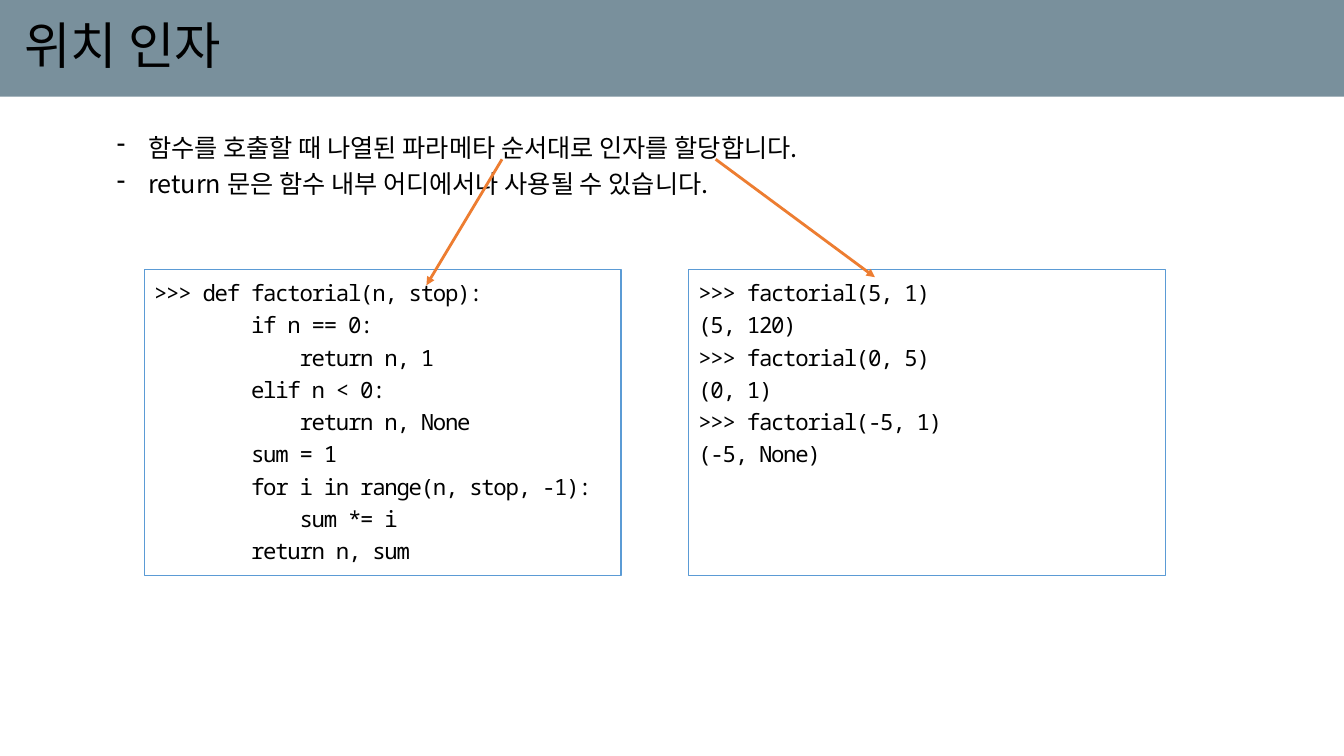
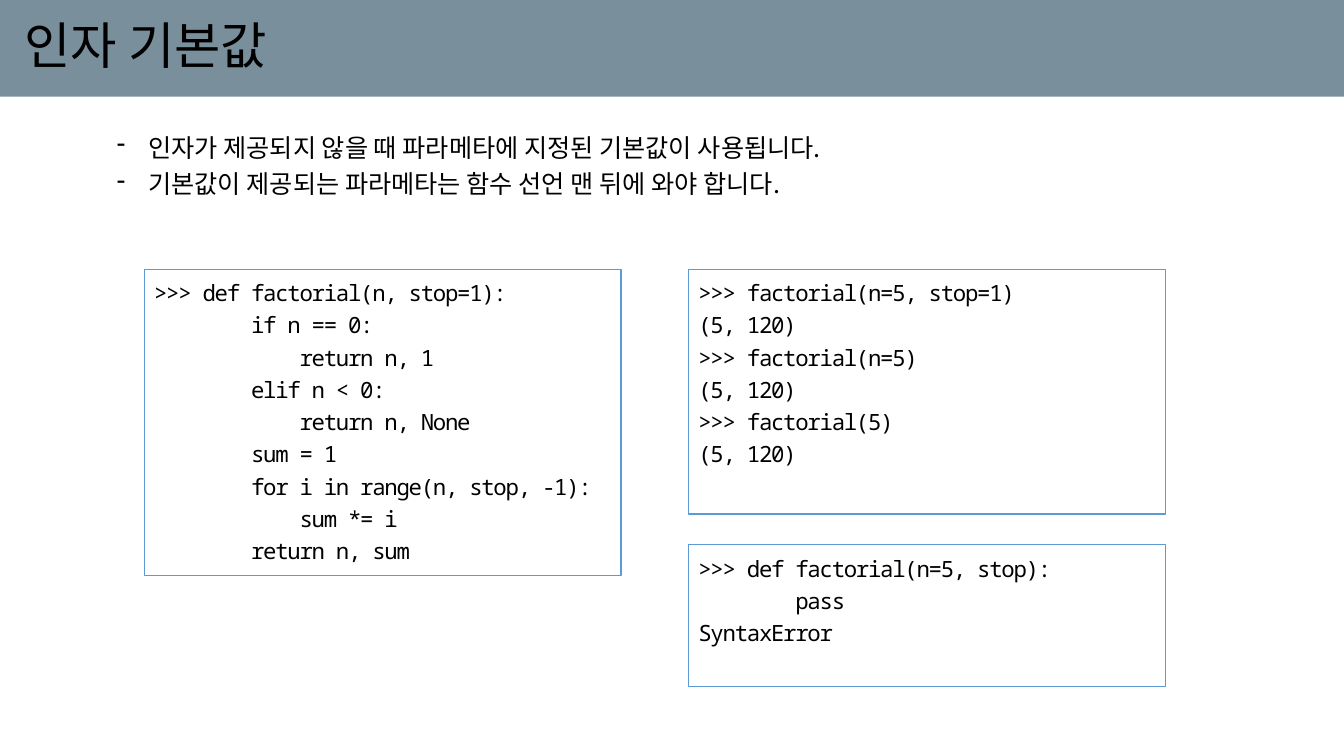
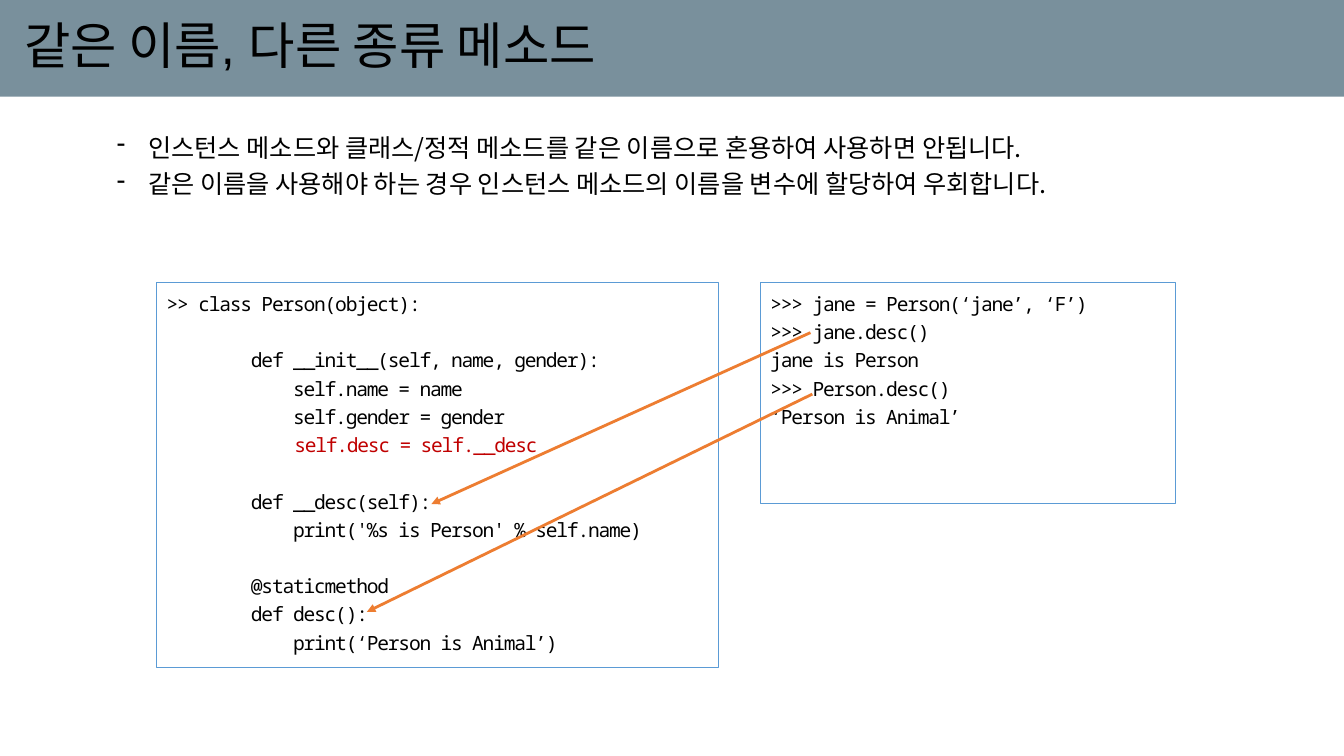
from dataclasses import dataclass

from lxml.etree import SubElement
from pptx import Presentation
from pptx.dml.color import RGBColor
from pptx.enum.shapes import MSO_CONNECTOR, MSO_SHAPE
from pptx.enum.text import MSO_ANCHOR, PP_ALIGN
from pptx.oxml.ns import qn
from pptx.slide import Slide
from pptx.util import Pt


@dataclass(frozen=True)
class Theme:
    band: RGBColor = RGBColor(0x79, 0x90, 0x9C)
    text: RGBColor = RGBColor(0, 0, 0)
    box_line: RGBColor = RGBColor(0x5B, 0x9B, 0xD5)
    arrow: RGBColor = RGBColor(0xED, 0x7D, 0x31)
    highlight: RGBColor = RGBColor(0xC0, 0, 0)
    title_font: str = "Arial"
    body_font: str = "Noto Sans CJK KR"
    code_font: str = "Noto Sans Mono"
    title_size: float = 36
    body_size: float = 18
    code_size: float = 16
    small_code_size: float = 14


@dataclass(frozen=True)
class CodeBox:
    left: float
    top: float
    width: float
    height: float
    code: str
    size: float
    highlight: str = ""


@dataclass(frozen=True)
class Arrow:
    start: tuple[float, float]
    end: tuple[float, float]


@dataclass(frozen=True)
class Lesson:
    title: str
    points: tuple[str, ...]
    boxes: tuple[CodeBox, ...]
    arrows: tuple[Arrow, ...] = ()
    points_width: float = 762.5


THEME = Theme()
SLIDE_WIDTH, SLIDE_HEIGHT = 960, 540
BAND_HEIGHT = 69.1
BULLET_INDENT = 22.5
CODE_LEFT, RESULT_LEFT, CODE_TOP = 103, 491.8, 192.2
CODE_WIDTH, CODE_HEIGHT = 340.6, 219
PERSON_TOP = 201.6


def factorial_box(signature: str) -> CodeBox:
    code = f""">>> def factorial({signature}):
        if n == 0:
            return n, 1
        elif n < 0:
            return n, None
        sum = 1
        for i in range(n, stop, -1):
            sum *= i
        return n, sum"""
    return CodeBox(CODE_LEFT, CODE_TOP, CODE_WIDTH, CODE_HEIGHT, code, THEME.code_size)


def result_box(top: float, height: float, code: str) -> CodeBox:
    return CodeBox(RESULT_LEFT, top, CODE_WIDTH, height, code, THEME.code_size)


PERSON_CODE = """>> class Person(object):

        def __init__(self, name, gender):
            self.name = name
            self.gender = gender
            self.desc = self.__desc

        def __desc(self):
            print('%s is Person' % self.name)

        @staticmethod
        def desc():
            print(‘Person is Animal’)"""

LESSONS = (
    Lesson(
        "위치 인자",
        ("함수를 호출할 때 나열된 파라메타 순서대로 인자를 할당합니다.",
         "return 문은 함수 내부 어디에서나 사용될 수 있습니다."),
        (factorial_box("n, stop"),
         result_box(CODE_TOP, CODE_HEIGHT, """>>> factorial(5, 1)
(5, 120)
>>> factorial(0, 5)
(0, 1)
>>> factorial(-5, 1)
(-5, None)""")),
        (Arrow((358.6, 113.8), (304.6, 203.8)), Arrow((511.2, 113.8), (625, 198))),
    ),
    Lesson(
        "인자 기본값",
        ("인자가 제공되지 않을 때 파라메타에 지정된 기본값이 사용됩니다.",
         "기본값이 제공되는 파라메타는 함수 선언 맨 뒤에 와야 합니다."),
        (factorial_box("n, stop=1"),
         result_box(CODE_TOP, 175, """>>> factorial(n=5, stop=1)
(5, 120)
>>> factorial(n=5)
(5, 120)
>>> factorial(5)
(5, 120)"""),
         result_box(388.8, 101.8, """>>> def factorial(n=5, stop):
        pass
SyntaxError""")),
    ),
    Lesson(
        "같은 이름, 다른 종류 메소드",
        ("인스턴스 메소드와 클래스/정적 메소드를 같은 이름으로 혼용하여 사용하면 안됩니다.",
         "같은 이름을 사용해야 하는 경우 인스턴스 메소드의 이름을 변수에 할당하여 우회합니다."),
        (CodeBox(112, PERSON_TOP, 401.3, 275, PERSON_CODE, THEME.small_code_size,
                 highlight="self.desc = self.__desc"),
         CodeBox(543.2, PERSON_TOP, 296.6, 158.2, """>>> jane = Person(‘jane’, ‘F’)
>>> jane.desc()
jane is Person
>>> Person.desc()
‘Person is Animal’""", THEME.small_code_size)),
        (Arrow((578.9, 237.6), (308.2, 360)), Arrow((580.3, 281.5), (262.1, 437))),
        points_width=790.6,
    ),
)


def style_paragraph(paragraph, font_name: str, size: float, line_spacing: float) -> None:
    paragraph.alignment = PP_ALIGN.LEFT
    paragraph.line_spacing = line_spacing
    font = paragraph.font
    font.name = font_name
    font.size = Pt(size)
    font.color.rgb = THEME.text
    defaults = paragraph._p.get_or_add_pPr().get_or_add_defRPr()
    SubElement(defaults, qn("a:ea"), typeface=THEME.body_font)


def add_paragraphs(frame, count: int) -> list:
    """Return the frame's first paragraph followed by count - 1 new ones."""
    return [frame.paragraphs[0], *(frame.add_paragraph() for _ in range(count - 1))]


def add_rectangle(slide: Slide, left: float, top: float, width: float, height: float):
    shape = slide.shapes.add_shape(
        MSO_SHAPE.RECTANGLE, Pt(left), Pt(top), Pt(width), Pt(height))
    shape.shadow.inherit = False
    shape.text_frame.word_wrap = True
    return shape


def add_title(slide: Slide, title: str) -> None:
    band = add_rectangle(slide, 0, 0, SLIDE_WIDTH, BAND_HEIGHT)
    band.fill.solid()
    band.fill.fore_color.rgb = THEME.band
    band.line.fill.background()
    frame = band.text_frame
    frame.margin_left = Pt(17.2)
    frame.vertical_anchor = MSO_ANCHOR.MIDDLE
    frame.text = title
    style_paragraph(frame.paragraphs[0], THEME.title_font, THEME.title_size, 0.9)


def add_points(slide: Slide, points: tuple[str, ...], width: float) -> None:
    text_box = slide.shapes.add_textbox(Pt(76.3), Pt(86.4), Pt(width), Pt(59.8))
    frame = text_box.text_frame
    frame.word_wrap = True
    for paragraph, point in zip(add_paragraphs(frame, len(points)), points):
        paragraph.text = point
        properties = paragraph._p.get_or_add_pPr()
        properties.set("marL", str(Pt(BULLET_INDENT)))
        properties.set("indent", str(Pt(-BULLET_INDENT)))
        SubElement(properties, qn("a:buChar"), char="-")
        style_paragraph(paragraph, THEME.body_font, THEME.body_size, 1.2)


def add_code_box(slide: Slide, box: CodeBox) -> None:
    shape = add_rectangle(slide, box.left, box.top, box.width, box.height)
    shape.fill.background()
    shape.line.color.rgb = THEME.box_line
    shape.line.width = Pt(0.75)
    frame = shape.text_frame
    frame.vertical_anchor = MSO_ANCHOR.TOP
    lines = box.code.split("\n")
    for paragraph, line in zip(add_paragraphs(frame, len(lines)), lines):
        style_paragraph(paragraph, THEME.code_font, box.size, 1.2)
        paragraph._p.pPr.get_or_add_defRPr().set("spc", "-90")
        parts = line.partition(box.highlight) if box.highlight else (line,)
        for part in filter(None, parts):
            run = paragraph.add_run()
            run.text = part
            if part == box.highlight:
                run.font.color.rgb = THEME.highlight


def add_arrow(slide: Slide, arrow: Arrow) -> None:
    connector = slide.shapes.add_connector(
        MSO_CONNECTOR.STRAIGHT, *map(Pt, arrow.start + arrow.end))
    connector.line.color.rgb = THEME.arrow
    connector.line.width = Pt(2)
    SubElement(connector.line._get_or_add_ln(), qn("a:tailEnd"), type="triangle")
    SubElement(connector._element.spPr, qn("a:effectLst"))


def add_lesson(presentation, lesson: Lesson) -> None:
    slide = presentation.slides.add_slide(presentation.slide_layouts[6])
    add_title(slide, lesson.title)
    add_points(slide, lesson.points, lesson.points_width)
    for box in lesson.boxes:
        add_code_box(slide, box)
    for arrow in lesson.arrows:
        add_arrow(slide, arrow)


def main() -> None:
    presentation = Presentation()
    presentation.slide_width = Pt(SLIDE_WIDTH)
    presentation.slide_height = Pt(SLIDE_HEIGHT)
    for lesson in LESSONS:
        add_lesson(presentation, lesson)
    presentation.save("out.pptx")


if __name__ == "__main__":
    main()
